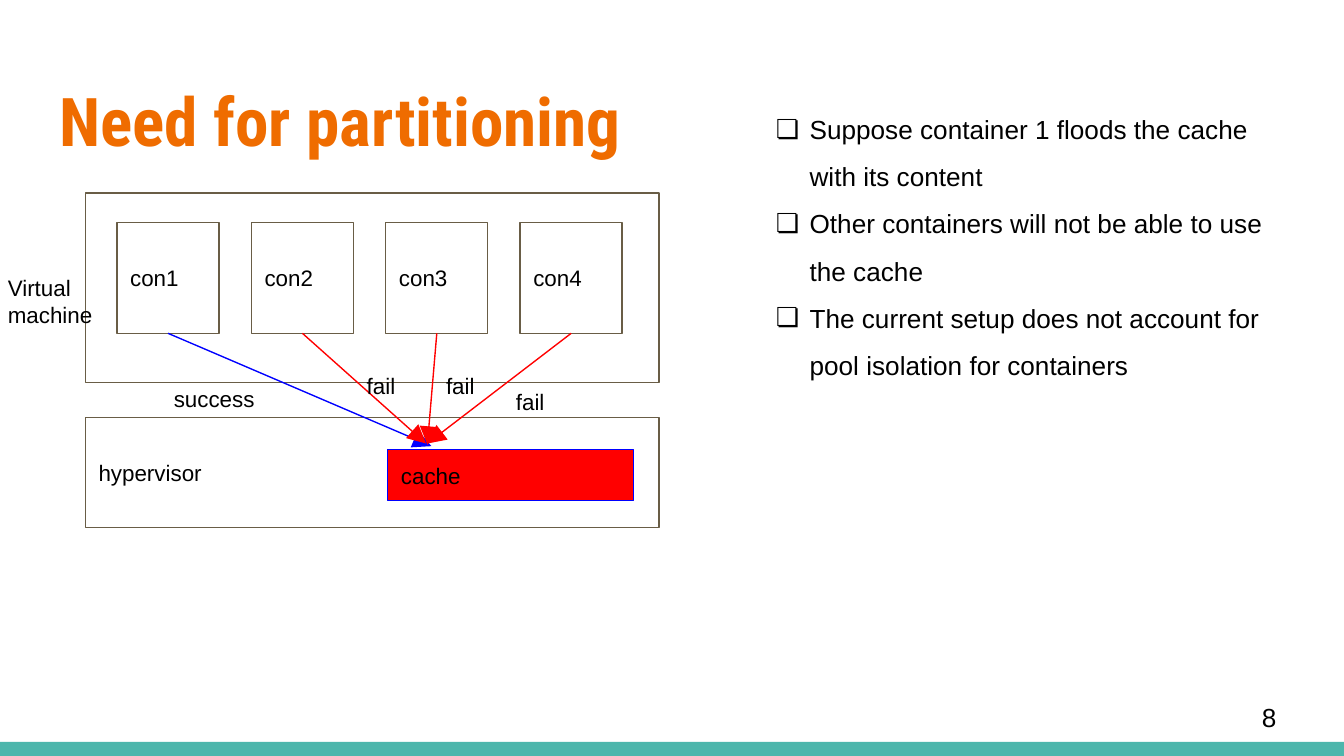
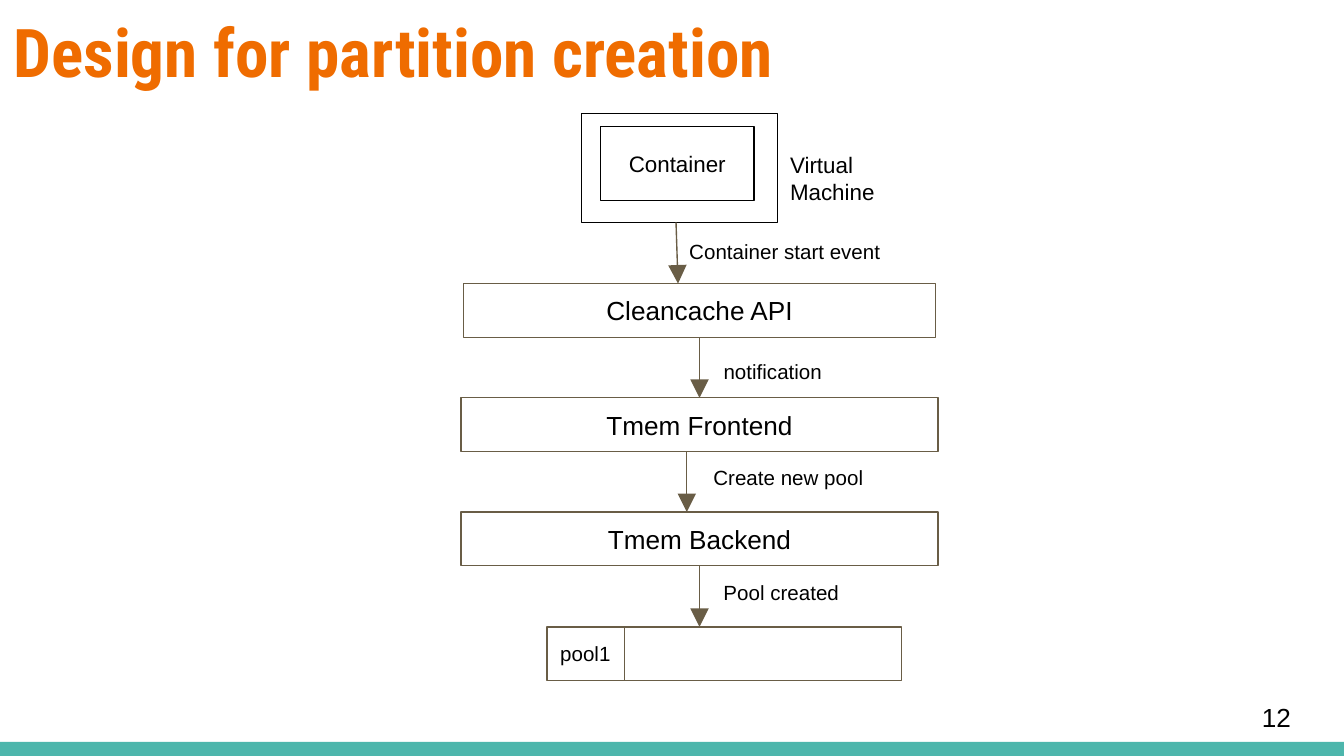
from dataclasses import dataclass

from lxml import etree
from pptx import Presentation
from pptx import util as u
from pptx.dml.color import RGBColor
from pptx.enum import shapes, text
from pptx.oxml import ns

PX = 4572
WIDTH, HEIGHT = 2000, 1125
INSET = 20
WHITE, BLACK, BROWN = "FFFFFF", "000000", "695D46"
RED, BLUE, ORANGE, TEAL = "FF0000", "0000FF", "EF6C00", "4DB6AC"
BODY_FONT, TITLE_FONT = "Arial", "Roboto Condensed"
LEFT, CENTER = text.PP_ALIGN.LEFT, text.PP_ALIGN.CENTER
TOP, MIDDLE = text.MSO_ANCHOR.TOP, text.MSO_ANCHOR.MIDDLE


@dataclass(frozen=True)
class Box:
    x: int
    y: int
    w: int
    h: int
    label: str = ""
    size: int = 12
    align: text.PP_ALIGN = LEFT
    fill: str = WHITE
    line: str | None = BROWN


@dataclass(frozen=True)
class Line:
    x1: int
    y1: int
    x2: int
    y2: int
    color: str = BROWN
    arrow: bool = True


@dataclass(frozen=True)
class Label:
    x: int
    y: int
    w: int
    h: int
    label: str
    size: int = 12
    anchor: text.MSO_ANCHOR = TOP


def px(n: int) -> u.Emu:
    return u.Emu(n * PX)


def rgb(value: str) -> RGBColor:
    return RGBColor.from_string(value)


def add_child(parent, tag: str, **attrs: str):
    return etree.SubElement(parent, ns.qn(tag), attrs)


def format_text(tf, size: int, align=LEFT, anchor=TOP, font: str = BODY_FONT,
                color: str = BLACK, bold: bool = False) -> None:
    tf.word_wrap = True
    tf.auto_size = text.MSO_AUTO_SIZE.NONE
    tf.vertical_anchor = anchor
    tf.margin_left = tf.margin_right = tf.margin_top = tf.margin_bottom = px(INSET)
    for p in tf.paragraphs:
        p.alignment = align
        for r in p.runs:
            r.font.name = font
            r.font.size = u.Pt(size)
            r.font.bold = bold
            r.font.color.rgb = rgb(color)


def draw_box(s, box: Box):
    sp = s.shapes.add_shape(shapes.MSO_SHAPE.RECTANGLE,
                            px(box.x), px(box.y), px(box.w), px(box.h))
    sp.shadow.inherit = False
    sp.fill.solid()
    sp.fill.fore_color.rgb = rgb(box.fill)
    if box.line:
        sp.line.color.rgb = rgb(box.line)
        sp.line.width = u.Pt(0.75)
    else:
        sp.line.fill.background()
    if box.label:
        sp.text_frame.text = box.label
        format_text(sp.text_frame, box.size, box.align, MIDDLE)
    return sp


def draw_line(s, line: Line) -> None:
    c = s.shapes.add_connector(shapes.MSO_CONNECTOR.STRAIGHT,
                               px(line.x1), px(line.y1), px(line.x2), px(line.y2))
    c.line.color.rgb = rgb(line.color)
    c.line.width = u.Pt(0.75)
    if line.arrow:
        ln = c._element.spPr.find(ns.qn("a:ln"))
        add_child(ln, "a:tailEnd", type="triangle", w="lg", len="lg")
    add_child(c._element.spPr, "a:effectLst")


def draw_label(s, label: Label):
    sp = s.shapes.add_textbox(px(label.x), px(label.y), px(label.w), px(label.h))
    sp.text_frame.text = label.label
    format_text(sp.text_frame, label.size, anchor=label.anchor)
    return sp


def draw_bullets(s, label: Label) -> None:
    for p in draw_label(s, label).text_frame.paragraphs:
        p.line_spacing = 1.5
        pPr = p._p.get_or_add_pPr()
        pPr.set("marL", str(px(100)))
        pPr.set("indent", str(px(-50)))
        add_child(pPr, "a:buSzPct", val="100000")
        add_child(pPr, "a:buFont", typeface=BODY_FONT)
        add_child(pPr, "a:buChar", char="❏")


def draw_all(s, items: list[Box | Line | Label]) -> None:
    draw = {Box: draw_box, Line: draw_line, Label: draw_label}
    for item in items:
        draw[type(item)](s, item)


def add_slide(prs, title: Label, number: str):
    s = prs.slides.add_slide(prs.slide_layouts[5])
    sp = s.shapes.title
    sp.left, sp.top, sp.width, sp.height = map(px, (title.x, title.y, title.w, title.h))
    sp.text_frame.text = title.label
    format_text(sp.text_frame, title.size, font=TITLE_FONT, color=ORANGE, bold=True)
    draw_label(s, Label(1858, 1024, 120, 86, number, 14, MIDDLE))
    return s


def add_layout_band(s) -> None:
    band = draw_box(s, Box(0, 1104, WIDTH, 21, fill=TEAL, line=None))
    band._element.nvSpPr.cNvPr.set("id", "100")
    s.slide_layout.shapes._spTree.append(band._element)


def build_need(prs) -> None:
    s = add_slide(prs, Label(68, 98, 1864, 154, "Need for partitioning", 36), "8")
    add_layout_band(s)
    containers = [Box(174 + 200 * i, 331, 152, 165, f"con{i + 1}") for i in range(4)]
    tips = [(642, 664, BLUE), (634, 660, RED), (636, 662, RED), (636, 660, RED)]
    arrows = [Line(c.x + c.w // 2, c.y + c.h, x, y, color)
              for c, (x, y, color) in zip(containers, tips)]
    fails = [Label(x, y, 102, 50, "fail") for x, y in ((748, 558), (644, 534), (526, 534))]
    draw_all(s, [
        Box(127, 287, 854, 282),
        *containers,
        Box(127, 621, 854, 164, "hypervisor"),
        Box(577, 669, 366, 76, "cache", fill=RED, line=BLUE),
        *arrows,
        *fails,
        Label(239, 553, 168, 50, "success"),
        Label(-8, 388, 182, 52, "Virtual machine"),
    ])
    draw_bullets(s, Label(1085, 126, 818, 850, "\n".join((
        "Suppose container 1 floods the cache with its content",
        "Other containers will not be able to use the cache",
        "The current setup does not account for pool isolation for containers",
    )), 14))


def build_design(prs) -> None:
    s = add_slide(prs, Label(0, -5, WIDTH, 132, "Design for partition creation", 36), "12")
    layers = [Box(x, 422 + 170 * i, w, 80, name, 14, CENTER)
              for i, (x, w, name) in enumerate((
                  (690, 702, "Cleancache API"),
                  (686, 710, "Tmem Frontend"),
                  (686, 710, "Tmem Backend")))]
    pool = Box(814, 933, 528, 80, "pool1", 11)
    machine = Box(865, 169, 292, 162, line=BLACK)
    stages = [machine, *layers, pool]
    ends = [(1006, 1009), (1041, 1041), (1022, 1022), (1041, 1041)]
    arrows = [Line(x1, a.y + a.h, x2, b.y)
              for a, b, (x1, x2) in zip(stages, stages[1:], ends)]
    draw_all(s, [
        *stages,
        Box(894, 188, 228, 110, "Container", align=CENTER, line=BLACK),
        Label(1156, 205, 242, 76, "Virtual Machine"),
        *arrows,
        Line(929, pool.y, 929, pool.y + pool.h, arrow=False),
        Label(1006, 336, 336, 48, "Container start event", 11),
        Label(1057, 514, 256, 66, "notification", 11),
        Label(1042, 672, 406, 80, "Create new pool", 11),
        Label(1057, 843, 228, 66, "Pool created", 11),
    ])


def main() -> None:
    prs = Presentation()
    prs.slide_width, prs.slide_height = px(WIDTH), px(HEIGHT)
    build_need(prs)
    build_design(prs)
    prs.save("out.pptx")


if __name__ == "__main__":
    main()
